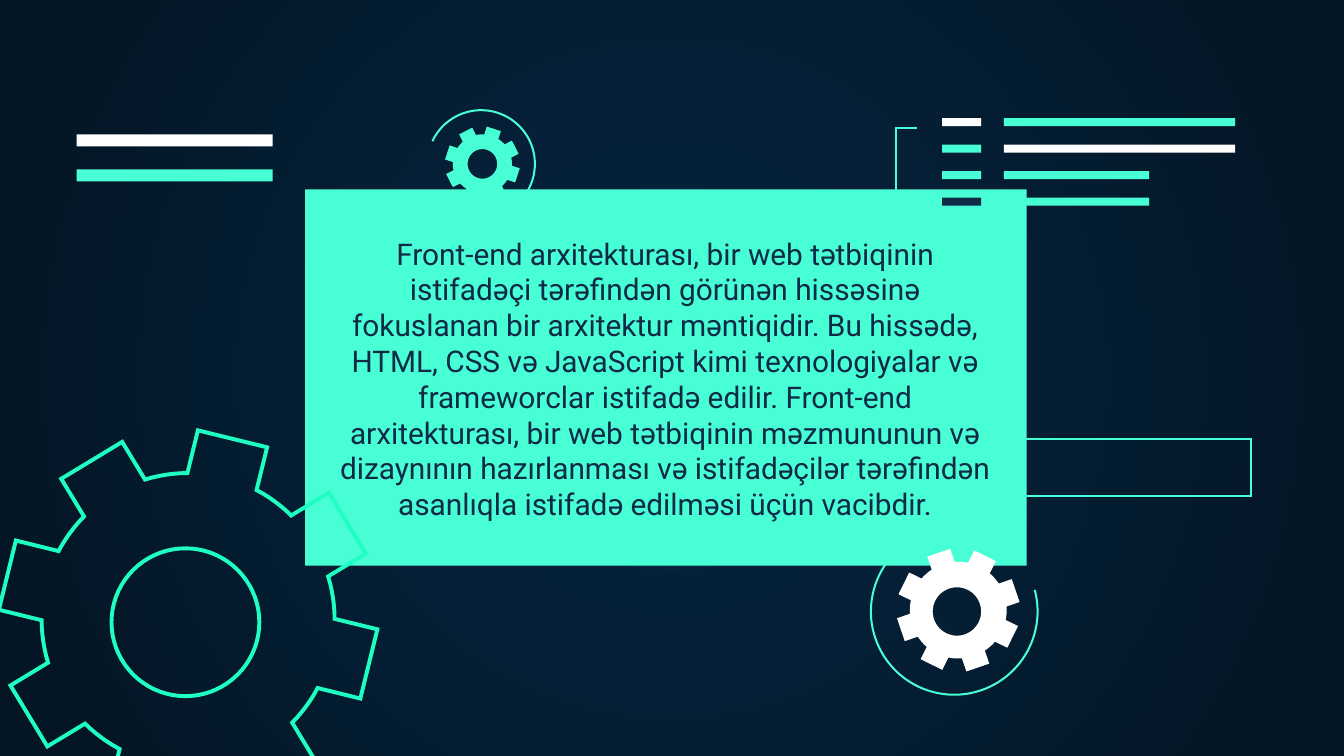
from math import asin, cos, pi, radians, sin

from lxml import etree
from pptx import Presentation
from pptx.dml.color import RGBColor
from pptx.enum.shapes import MSO_SHAPE
from pptx.enum.text import MSO_ANCHOR, PP_ALIGN
from pptx.oxml import parse_xml
from pptx.oxml.ns import nsdecls, qn
from pptx.util import Inches, Pt

RECTANGLE = MSO_SHAPE.RECTANGLE
CENTER = PP_ALIGN.CENTER
TOP = MSO_ANCHOR.TOP

# Content
SLIDE_WIDTH = 10
SLIDE_HEIGHT = SLIDE_WIDTH * 9 / 16
COLORS = {
    "mint": "48FFD5",
    "outline": "1EFFC1",
    "navy": "0E2A47",
    "white": "FFFFFF",
    "glow": "052643",
    "edge": "041523",
}
FONT = "Roboto"
BODY = (
    "Front-end arxitekturası, bir web tətbiqinin istifadəçi tərəfindən "
    "görünən hissəsinə fokuslanan bir arxitektur məntiqidir. Bu hissədə, "
    "HTML, CSS və JavaScript kimi texnologiyalar və frameworclar istifadə "
    "edilir. Front-end arxitekturası, bir web tətbiqinin məzmununun və "
    "dizaynının hazırlanması və istifadəçilər tərəfindən asanlıqla istifadə "
    "edilməsi üçün vacibdir."
)
PANEL = (2.27, 1.41, 5.37, 2.8)
BODY_BOX = (2.43, 1.65, 5.04, 1.55)
WIDE_BOX = (7.2, 3.27, 2.11, 0.42)
BRACKET = [(6.83, 1.56), (6.67, 1.56), (6.67, 0.95), (6.82, 0.95)]

# Code lines: marker colour, line colour, line length
CODE_LINES = [
    ("white", "mint", 1.72),
    ("mint", "white", 1.72),
    ("mint", "mint", 1.08),
    ("navy", "mint", 1.08),
]
HEADING_BARS = ["white", "mint"]

# Arcs: centre, radius, start and end angle (clockwise from the right)
ARCS = [
    ((3.58, 1.22), 0.4, 205, 455),
    ((7.1, 4.55), 0.62, -15, 233),
]
TEETH = 8
GEARS = [
    dict(center=(1.4, 4.61), tip=1.41, body=1.09, tooth=0.53, turn=13.8,
         hole_center=(1.38, 4.63), hole=0.55, line="outline"),
    dict(center=(7.13, 4.54), tip=0.46, body=0.36, tooth=0.18, turn=26.2,
         hole_center=(7.12, 4.55), hole=0.18, fill="white"),
    dict(center=(3.59, 1.22), tip=0.28, body=0.22, tooth=0.11, turn=18.1,
         hole_center=(3.59, 1.22), hole=0.11, fill="mint"),
]


def rgb(name):
    return RGBColor.from_string(COLORS[name])


def style(shape, fill=None, line=None, width=1.09):
    shape.shadow.inherit = False
    if fill:
        shape.fill.solid()
        shape.fill.fore_color.rgb = rgb(fill)
    else:
        shape.fill.background()
    if line:
        shape.line.color.rgb = rgb(line)
        shape.line.width = Pt(width)
        outline = shape.element.spPr.find(qn("a:ln"))
        etree.SubElement(outline, qn("a:miter")).set("lim", "800000")
    else:
        shape.line.fill.background()


def add_rectangle(slide, box, **look):
    shape = slide.shapes.add_shape(RECTANGLE, *map(Inches, box))
    style(shape, **look)


def add_outline(slide, contours, close, **look):
    """Draw one freeform from lists of points in inches."""
    contours = [[(Inches(x), Inches(y)) for x, y in points] for points in contours]
    builder = slide.shapes.build_freeform(*contours[0][0], scale=1.0)
    for index, points in enumerate(contours):
        if index:
            builder.move_to(*points[0])
        builder.add_line_segments(points[1:], close=close)
    style(builder.convert_to_shape(), **look)


def polar(center, radius, angle):
    return center[0] + radius * cos(angle), center[1] + radius * sin(angle)


def arc_points(center, radius, start, end, steps=72):
    angles = [start + (end - start) * i / steps for i in range(steps + 1)]
    return [polar(center, radius, radians(angle)) for angle in angles]


def gear_points(center, tip, body, tooth, turn):
    """Parallel-sided teeth joined by arcs of the gear body."""
    points = []
    tip_half, base_half = asin(tooth / 2 / tip), asin(tooth / 2 / body)
    pitch = 2 * pi / TEETH
    gap = pitch - 2 * base_half
    steps = 6
    for number in range(TEETH):
        middle = radians(turn) + number * pitch
        points.append(polar(center, tip, middle - tip_half))
        points.append(polar(center, tip, middle + tip_half))
        points += [polar(center, body, middle + base_half + gap * i / steps)
                   for i in range(steps + 1)]
    return points


def add_gear(slide, center, tip, body, tooth, turn, hole_center, hole,
             fill=None, line=None):
    rim = gear_points(center, tip, body, tooth, turn)
    bore = arc_points(hole_center, hole, 0, 360)[:-1]
    add_outline(slide, [rim, bore], True, fill=fill, line=line, width=2.1)


def set_background(slide):
    slide.background.fill.solid()
    solid = slide.element.find(f".//{qn('p:bgPr')}/{qn('a:solidFill')}")
    solid.getparent().replace(solid, parse_xml(
        f'<a:gradFill {nsdecls("a")} rotWithShape="1"><a:gsLst>'
        f'<a:gs pos="0"><a:srgbClr val="{COLORS["glow"]}"/></a:gs>'
        f'<a:gs pos="100000"><a:srgbClr val="{COLORS["edge"]}"/></a:gs>'
        '</a:gsLst><a:path path="circle">'
        '<a:fillToRect l="50000" t="50000" r="50000" b="50000"/>'
        '</a:path></a:gradFill>'))


def add_body(slide):
    text_frame = slide.shapes.add_textbox(*map(Inches, BODY_BOX)).text_frame
    text_frame.word_wrap = True
    text_frame.vertical_anchor = TOP
    text_frame.margin_left = text_frame.margin_right = Inches(0.1)
    text_frame.margin_top = text_frame.margin_bottom = Inches(0.1)
    text_frame.text = BODY
    paragraph = text_frame.paragraphs[0]
    paragraph.alignment = CENTER
    font = paragraph.runs[0].font
    font.name, font.size = FONT, Pt(16)
    font.color.rgb = rgb("navy")


def main():
    presentation = Presentation()
    presentation.slide_width = Inches(SLIDE_WIDTH)
    presentation.slide_height = Inches(SLIDE_HEIGHT)
    slide = presentation.slides.add_slide(presentation.slide_layouts[6])
    set_background(slide)

    # Panel, arcs and gears
    add_rectangle(slide, PANEL, fill="mint")
    for arc in ARCS:
        add_outline(slide, [arc_points(*arc)], False, line="mint")
    for gear in GEARS:
        add_gear(slide, **gear)

    # Code lines with their bracket
    for row, (marker, color, length) in enumerate(CODE_LINES):
        top = 0.88 + row * 0.59 / 3
        add_rectangle(slide, (7.01, top, 0.29, 0.06), fill=marker)
        add_rectangle(slide, (7.47, top, length, 0.06), fill=color)
    add_outline(slide, [BRACKET], False, line="mint")

    # Heading bars and wide box
    for row, color in enumerate(HEADING_BARS):
        add_rectangle(slide, (0.57, 1 + row * 0.26, 1.46, 0.09), fill=color)
    add_rectangle(slide, WIDE_BOX, line="mint")

    add_body(slide)
    presentation.save("out.pptx")


if __name__ == "__main__":
    main()
